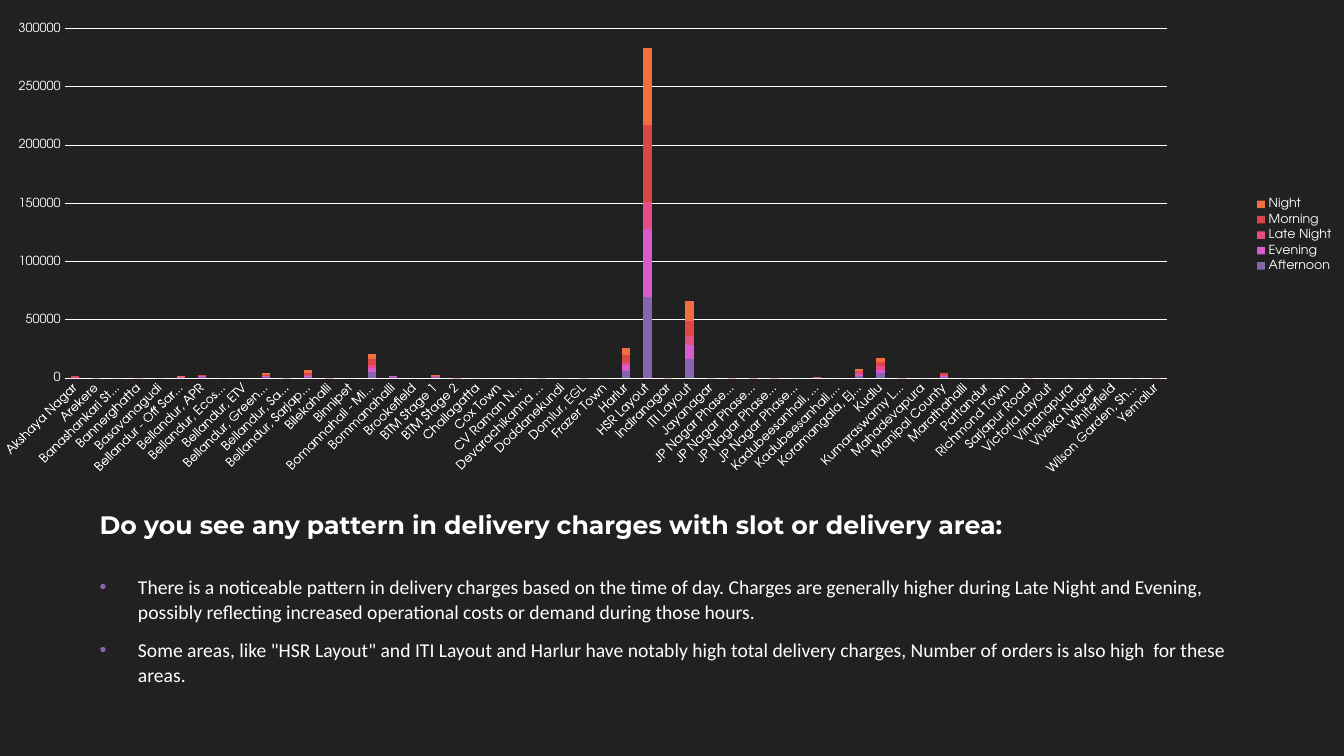
from dataclasses import dataclass

from lxml import etree
from pptx import Presentation
from pptx.chart.data import CategoryChartData
from pptx.dml.color import RGBColor
from pptx.enum.chart import XL_CHART_TYPE, XL_LEGEND_POSITION, XL_TICK_MARK
from pptx.enum.text import MSO_ANCHOR
from pptx.oxml import parse_xml
from pptx.oxml.ns import nsdecls, qn
from pptx.util import Inches, Pt

STACKED = XL_CHART_TYPE.COLUMN_STACKED
RIGHT = XL_LEGEND_POSITION.RIGHT
NO_TICK = XL_TICK_MARK.NONE
BOTTOM = MSO_ANCHOR.BOTTOM
MIDDLE = MSO_ANCHOR.MIDDLE

COLORS = {
    "back": "212121",
    "text": "FFFFFF",
    "purple": "8664B0",
    "orchid": "D75BCD",
    "pink": "E54D86",
    "red": "DE4547",
    "orange": "F16E40",
}
CHART_FONT = "TeX Gyre Adventor"

AREAS = """Akshaya Nagar|Arekere|Banashankari Stage 2|Bannerghatta|Basavanagudi
Bellandur - Off Sarjapur Road|Bellandur, APR|Bellandur, Ecosgate|Bellandur, ETV
Bellandur, Green Glen|Bellandur, Sahana|Bellandur, Sarjapur Road|Bilekahalli|Binnipet
Bomannahali - MicoLayout|Bommanahalli|Brookefield|BTM Stage 1|BTM Stage 2|Challagatta
Cox Town|CV Raman Nagar|Devarachikanna Halli|Doddanekundi|Domlur, EGL|Frazer Town
Harlur|HSR Layout|Indiranagar|ITI Layout|Jayanagar|JP Nagar Phase 1-3
JP Nagar Phase 4-5|JP Nagar Phase 6-7|JP Nagar Phase 8-9|Kadubeesanhali, Parkside
Kadubeesanhali, PTP|Koramangala, Ejipura|Kudlu|Kumaraswamy Layout|Mahadevapura
Manipal County|Marathahalli|Pattandur|Richmond Town|Sarjapur Road|Victoria Layout
Vimanapura|Viveka Nagar|Whitefield|Wilson Garden, Shantinagar|Yemalur"""


@dataclass
class Slot:
    name: str
    color: str
    sums: str

    def values(self) -> list[int | None]:
        return [None if s == "-" else int(s) * 1000 for s in self.sums.split()]


@dataclass
class Box:
    left: float
    top: float
    width: float
    height: float

    def lengths(self) -> list[int]:
        return [Inches(n) for n in (self.left, self.top, self.width, self.height)]


SLOTS = [
    Slot("Afternoon", "purple",
         "0 0 - - - 0 1 - - 1 0 1 0 - 5 1 - 1 0 - - - 0 - 0 - "
         "6 70 0 16 0 - 0 0 - 0 - 2 4 0 - 1 - 0 0 0 - 0 0 - - 0"),
    Slot("Evening", "orchid",
         "0 0 0 0 0 1 1 - - 1 0 1 0 - 4 1 - 0 0 - - - 0 - - - "
         "5 58 - 12 0 0 0 - 0 - - 1 3 0 - 1 0 - - 0 - - 0 - 0 0"),
    Slot("Late Night", "pink",
         "1 0 - - - 0 - 0 - 0 0 1 0 - 2 0 0 1 0 0 - 0 0 0 0 0 "
         "3 23 0 8 - 0 0 0 - 1 - 2 3 - - 1 - - - 0 - - - - - -"),
    Slot("Morning", "red",
         "1 - - 0 - 0 1 - - 1 - 1 0 0 5 0 - 0 0 - - - - - 0 - "
         "6 66 0 13 0 0 0 0 - - - 1 4 0 0 1 - - - - - - - - - 0"),
    Slot("Night", "orange",
         "0 0 0 0 0 1 0 - 0 1 0 3 0 - 5 0 - 1 0 - - - 0 0 - - "
         "6 66 0 17 - 0 0 - - 0 0 2 3 0 - 0 0 - - 0 0 - - - 0 0"),
]
PLOT = {"x": 0.048, "y": 0.061, "w": 0.82, "h": 0.743}

TITLE = "Do you see any pattern in delivery charges with slot or delivery area:"
POINTS = [
    "There is a noticeable pattern in delivery charges based on the time of day. "
    "Charges are generally higher during Late Night and Evening, possibly reflecting "
    "increased operational costs or demand during those hours.",
    'Some areas, like "HSR Layout" and ITI Layout and Harlur have notably high total '
    "delivery charges, Number of orders is also high  for these areas.",
]


def rgb(key: str) -> RGBColor:
    return RGBColor.from_string(COLORS[key])


def style(font, size: float, name: str, bold: bool = False) -> None:
    font.size = Pt(size)
    font.bold = bold
    font.color.rgb = rgb("text")
    font.name = name


def shade(run) -> None:
    fx = parse_xml(
        f'<a:effectLst {nsdecls("a")}><a:outerShdw blurRad="38100" dist="38100" '
        'dir="2700000"><a:srgbClr val="000000"><a:alpha val="43000"/></a:srgbClr>'
        "</a:outerShdw></a:effectLst>")
    run.font.fill._xPr.find(qn("a:solidFill")).addnext(fx)


def bullet(para) -> None:
    props = para._p.get_or_add_pPr()
    props.set("marL", str(Inches(0.38)))
    props.set("indent", str(Inches(-0.38)))
    tint = etree.SubElement(props, qn("a:buClr"))
    etree.SubElement(tint, qn("a:srgbClr"), val=COLORS["purple"])
    etree.SubElement(props, qn("a:buFont"), typeface="Arial")
    etree.SubElement(props, qn("a:buChar"), char="•")


def write(slide, box: Box, texts: list[str], *, size: float, font: str, anchor,
          bold: bool = False, dots: bool = False, foot: float = 0.05) -> None:
    frame = slide.shapes.add_textbox(*box.lengths()).text_frame
    frame.word_wrap = True
    frame.vertical_anchor = anchor
    frame.margin_bottom = Inches(foot)
    for i, text in enumerate(texts):
        para = frame.add_paragraph() if i else frame.paragraphs[0]
        run = para.add_run()
        run.text = text
        style(run.font, size, font, bold)
        shade(run)
        if dots:
            para.line_spacing = 1.07
            para.space_before = Pt(size * 0.2)
            para.space_after = Pt(6)
            bullet(para)


def rule(line) -> None:
    line.color.rgb = rgb("text")
    line.width = Pt(0.75)


def place(chart) -> None:
    area = chart._chartSpace.chart.plotArea
    for old in area.findall(qn("c:layout")):
        area.remove(old)
    sizes = "".join(f'<c:{k} val="{v}"/>' for k, v in PLOT.items())
    area.insert(0, parse_xml(
        f'<c:layout {nsdecls("c")}><c:manualLayout><c:layoutTarget val="inner"/>'
        f'<c:xMode val="edge"/><c:yMode val="edge"/>{sizes}'
        "</c:manualLayout></c:layout>"))


def draw(slide, box: Box) -> None:
    data = CategoryChartData()
    data.categories = AREAS.replace("\n", "|").split("|")
    for slot in SLOTS:
        data.add_series(slot.name, slot.values())
    chart = slide.shapes.add_chart(STACKED, *box.lengths(), data).chart
    style(chart.font, 10, CHART_FONT)
    chart.has_title = False
    chart.has_legend = True
    chart.legend.position = RIGHT
    chart.legend.include_in_layout = False
    style(chart.legend.font, 9, CHART_FONT)

    plot = chart.plots[0]
    plot.gap_width = 150
    plot.overlap = 100
    plot.vary_by_categories = False
    for slot, bars in zip(SLOTS, plot.series):
        bars.format.fill.solid()
        bars.format.fill.fore_color.rgb = rgb(slot.color)

    names, sums = chart.category_axis, chart.value_axis
    for axis in (names, sums):
        axis.major_tick_mark = axis.minor_tick_mark = NO_TICK
        style(axis.tick_labels.font, 9, CHART_FONT)
    names.has_major_gridlines = False
    rule(names.format.line)
    names._element.find(qn("c:txPr")).find(qn("a:bodyPr")).set("rot", "-2700000")
    sums.format.line.fill.background()
    sums.minimum_scale, sums.maximum_scale, sums.major_unit = 0, 300000, 50000
    sums.tick_labels.number_format = "General"
    sums.tick_labels.number_format_is_linked = False
    rule(sums.major_gridlines.format.line)
    place(chart)


def main() -> None:
    deck = Presentation()
    deck.slide_width, deck.slide_height = Inches(13.33), Inches(7.5)
    slide = deck.slides.add_slide(deck.slide_layouts[6])
    slide.background.fill.solid()
    slide.background.fill.fore_color.rgb = rgb("back")
    write(slide, Box(0.89, 4.78, 11.55, 0.62), [TITLE], size=18,
          font="Montserrat", anchor=BOTTOM, bold=True)
    write(slide, Box(0.89, 5.48, 11.55, 1.9), POINTS, size=14,
          font="Calibri", anchor=MIDDLE, dots=True, foot=0.41)
    draw(slide, Box(0, 0, 13.33, 4.71))
    deck.save("out.pptx")


if __name__ == "__main__":
    main()
